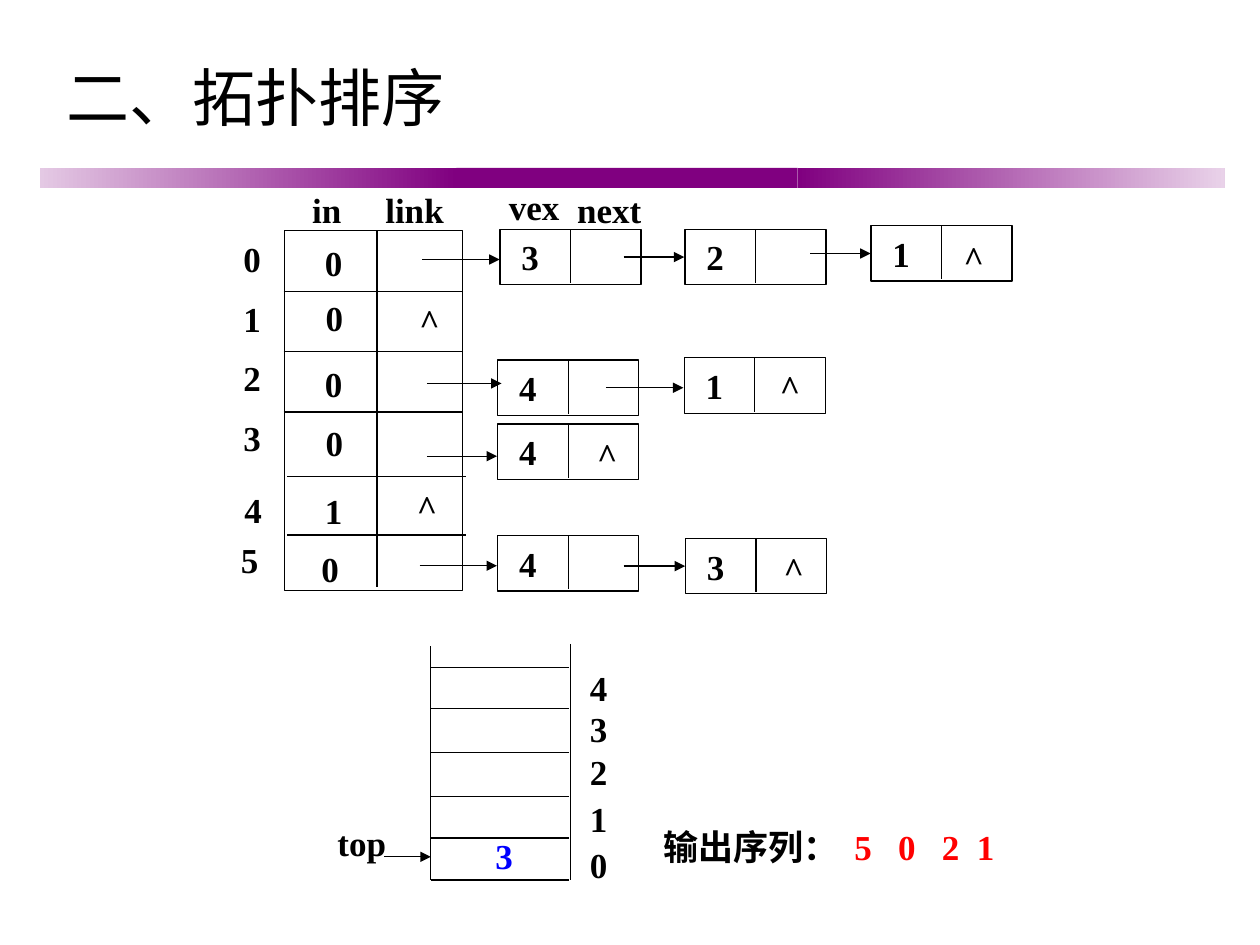
import pptx
import pptx.dml.color
import pptx.enum.shapes
import pptx.enum.text
import pptx.oxml.ns
import pptx.util
from lxml import etree

Pt = pptx.util.Pt
Align = pptx.enum.text.PP_ALIGN
Anchor = pptx.enum.text.MSO_ANCHOR
RECTANGLE = pptx.enum.shapes.MSO_SHAPE.RECTANGLE
STRAIGHT = pptx.enum.shapes.MSO_CONNECTOR.STRAIGHT
qn = pptx.oxml.ns.qn

COLORS = {
    "ink": "000000",
    "red": "FF0000",
    "blue": "0000FF",
    "purple": "800080",
    "pale_left": "E4C9E4",
    "pale_right": "E9D2E9",
}


def rgb(name):
    return pptx.dml.color.RGBColor.from_string(COLORS[name])


def set_format(target, values):
    for name, value in values.items():
        setattr(target, name, value)


class Diagram:
    latin = "Times New Roman"
    east_asian = "Noto Sans CJK JP"
    stroke = 0.74
    row_height = 31.7
    node_width = 80.6

    def __init__(self, page):
        self.page = page

    def add_span(self, para, text, color="ink", **style):
        span = para.add_run()
        span.text = text
        set_format(span.font, {"name": self.latin, "size": Pt(20), "bold": True, **style})
        span.font.color.rgb = rgb(color)
        etree.SubElement(span.font._element, qn("a:ea"), typeface=self.east_asian)

    def text_box(self, left, top, width, height, align=Align.LEFT, wrap=True):
        box = self.page.shapes.add_textbox(Pt(left), Pt(top), Pt(width), Pt(height))
        set_format(box.text_frame, {"word_wrap": wrap, "vertical_anchor": Anchor.MIDDLE})
        para = box.text_frame.paragraphs[0]
        para.alignment = align
        return para

    def label(self, text, x, y, color="ink"):
        width = 14.4 + 10 * len(text)
        para = self.text_box(x - width / 2, y - self.row_height / 2, width,
                             self.row_height, Align.CENTER, False)
        self.add_span(para, text, color)

    def rectangle(self, left, top, width, height):
        box = self.page.shapes.add_shape(RECTANGLE, Pt(left), Pt(top), Pt(width), Pt(height))
        box.shadow.inherit = False
        return box

    def frame(self, left, top, width, height):
        box = self.rectangle(left, top, width, height)
        box.fill.background()
        box.line.color.rgb = rgb("ink")
        box.line.width = Pt(self.stroke)
        return box

    def band(self, left, width, start, end):
        box = self.rectangle(left, 95.9, width, 11.5)
        box.line.fill.background()
        if start == end:
            box.fill.solid()
            box.fill.fore_color.rgb = rgb(start)
            return
        box.fill.gradient()
        box.fill.gradient_angle = 0
        for stop, position, color in zip(box.fill.gradient_stops, (0, 1), (start, end)):
            stop.position = position
            stop.color.rgb = rgb(color)

    def line(self, x1, y1, x2, y2, arrow=False):
        line = self.page.shapes.add_connector(STRAIGHT, Pt(x1), Pt(y1), Pt(x2), Pt(y2))
        line.line.color.rgb = rgb("ink")
        line.line.width = Pt(self.stroke)
        if arrow:
            etree.SubElement(line.line._get_or_add_ln(), qn("a:tailEnd"), type="triangle")
        etree.SubElement(line._element.spPr, qn("a:effectLst"))

    def node(self, vertex, left, top):
        box = self.frame(left, top, self.node_width, self.row_height)
        set_format(box.text_frame, {"margin_left": Pt(12.2), "word_wrap": True,
                                    "vertical_anchor": Anchor.MIDDLE})
        para = box.text_frame.paragraphs[0]
        para.alignment = Align.LEFT
        self.add_span(para, vertex)
        middle = left + self.node_width / 2
        self.line(middle, top, middle, top + self.row_height - 1)

    def tab_stops(self, para, stops):
        tabs = etree.SubElement(para._p.get_or_add_pPr(), qn("a:tabLst"))
        for stop in stops:
            etree.SubElement(tabs, qn("a:tab"), pos=str(int(Pt(stop))), algn="l")


deck = pptx.Presentation()
set_format(deck, {"slide_width": Pt(720), "slide_height": Pt(540)})
diagram = Diagram(deck.slides.add_slide(deck.slide_layouts[6]))

for band in ((23, 238, "pale_left", "purple"),
             (260.8, 195, "purple", "purple"),
             (455.8, 244, "purple", "pale_right")):
    diagram.band(*band)

title = diagram.text_box(31, 26, 652, 57.6)
diagram.add_span(title, "二、拓扑排序", name=Diagram.east_asian, size=Pt(36), bold=False)

diagram.frame(162.6, 131.8, 101.8, 205.6)
diagram.line(215.4, 131.8, 215.4, 335.5)
for left, y in ((162, 166.4), (162, 200.9), (162, 235.5), (164.2, 272.2), (164.2, 305.8)):
    diagram.line(left, y, left + 102, y)

for heading, x, y in (("in", 186.8, 119.5), ("link", 236.9, 119.5),
                      ("vex", 305.3, 118.1), ("next", 348.1, 119.5)):
    diagram.label(heading, x, y)

vertex_rows = (
    ("0", 144, 147.6, 190.6, 149.8),
    ("0", 144, 182, 191, 181.4),
    ("0", 144, 216, 190.6, 218.9),
    ("0", 144, 250, 191, 252.7),
    ("1", 144.7, 291, 190.6, 291.6),
    ("0", 142.6, 319.7, 188.6, 324.7),
)
for index, (degree, index_x, index_y, degree_x, degree_y) in enumerate(vertex_rows):
    diagram.label(str(index), index_x, index_y)
    diagram.label(degree, degree_x, degree_y)

for vertex, left, top in (
    ("3", 285.8, 131), ("2", 391.5, 131), ("1", 497.7, 129),
    ("4", 284.4, 205.7), ("1", 391, 204.5),
    ("4", 284.4, 242.4),
    ("4", 284.4, 306), ("3", 391.7, 307.7),
):
    diagram.node(vertex, left, top)

for x, y in ((244.8, 182.9), (243.4, 289.4), (555.8, 146.9),
             (450.7, 221), (346.3, 259.9), (452.9, 324.7)):
    diagram.label("^", x, y)

for start, end, y in (
    (241.2, 285.5, 148.3), (356.4, 391, 146.9), (463, 497.5, 144.9),
    (244, 286.6, 219.1), (346.3, 390.5, 221.6),
    (244, 284, 260.7),
    (239.8, 284, 323.3), (356.4, 391.5, 323.5),
    (219.6, 246.2, 489.6),
):
    diagram.line(start, y, end, y, arrow=True)

diagram.line(246.2, 369.4, 246.2, 502.8)
diagram.line(326, 368, 326, 502.8)
for y in (381.6, 404.9, 430, 455, 478.8, 502.8):
    diagram.line(246.2, y, 325.4, y)
for level, y in enumerate((493.9, 468, 440.6, 416.2, 393.1)):
    diagram.label(str(level), 342, y)
diagram.label("3", 288, 488.9, "blue")
diagram.label("top", 206.8, 481.7)

output = diagram.text_box(372.2, 468, 209.5, 31.7)
diagram.tab_stops(output, (109, 134, 159, 179))
diagram.add_span(output, "输出序列：")
diagram.add_span(output, "\t5\t0\t2\t1", "red")

deck.save("out.pptx")
